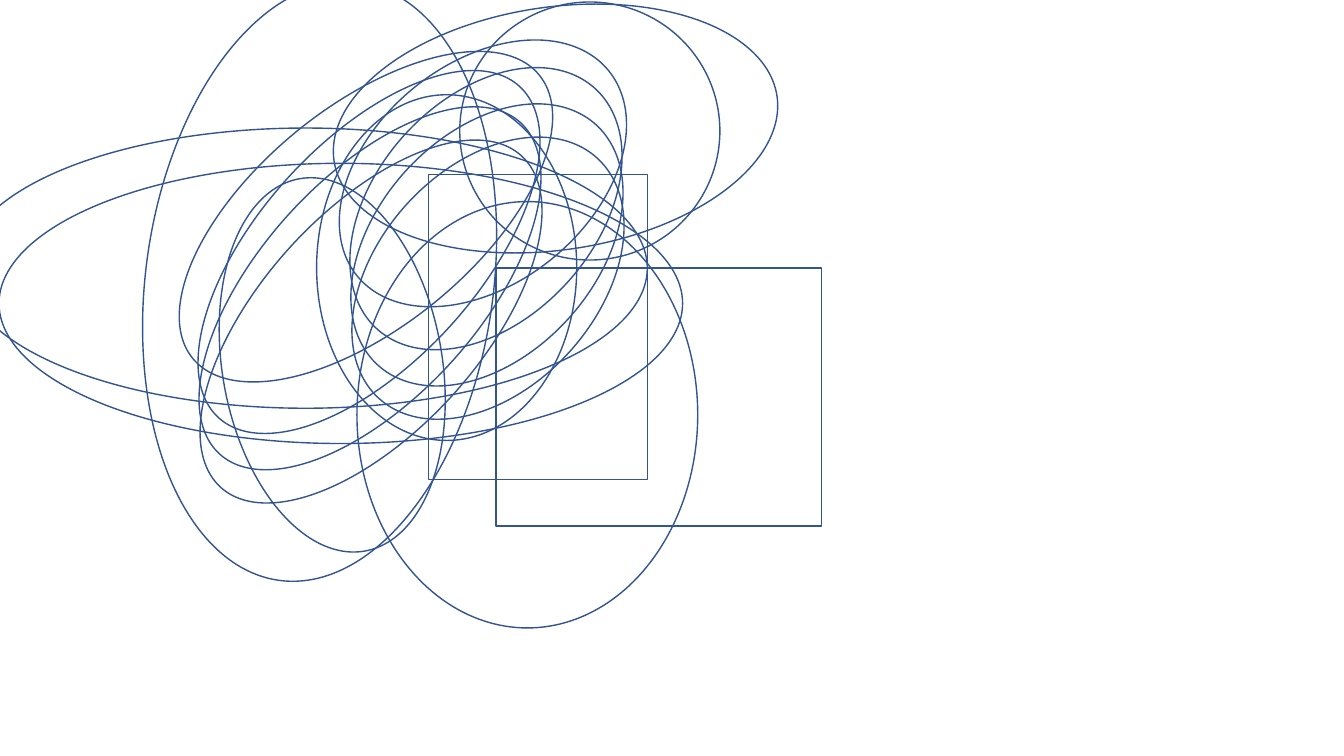
from pptx import Presentation
from pptx.dml.color import RGBColor
from pptx.enum.shapes import MSO_SHAPE as Preset
from pptx.util import Inches, Pt

OUTLINE_BLUE = RGBColor(0x32, 0x54, 0x91)
BLANK_LAYOUT = 6

# Each leaning pair: a long ellipse and a short one up and to its right
LONG_SIZE = (4.44, 2.18)
SHORT_SIZE = (3.22, 2.18)
PAIR_SHIFT = (1.77, -0.43)


class OutlineSlide:
    """Holds the line style and the current slide."""

    def __init__(self, deck):
        self.slide = deck.slides.add_slide(deck.slide_layouts[BLANK_LAYOUT])
        self.line_format = {"width": Pt(1)}
        self.line_color = OUTLINE_BLUE

    def outline(self, preset, left, top, width, height, rotation=0):
        shape = self.slide.shapes.add_shape(
            preset, Inches(left), Inches(top), Inches(width), Inches(height))
        shape.rotation = rotation
        shape.shadow.inherit = False
        shape.fill.background()
        shape.line.color.rgb = self.line_color
        for name, value in self.line_format.items():
            setattr(shape.line, name, value)

    def ellipse(self, left, top, width, height, rotation=0):
        self.outline(Preset.OVAL, left, top, width, height, rotation)

    def rectangle(self, left, top, width, height):
        self.outline(Preset.RECTANGLE, left, top, width, height)

    def leaning_pair(self, left, top, rotation):
        shift_x, shift_y = PAIR_SHIFT
        self.ellipse(left, top, *LONG_SIZE, rotation)
        self.ellipse(left + shift_x, top + shift_y, *SHORT_SIZE, rotation)


def main():
    deck = Presentation()
    deck.slide_width, deck.slide_height = Inches(13.33), Inches(7.5)
    drawing = OutlineSlide(deck)

    # Upright ellipses and the two rectangles
    drawing.ellipse(-0.36, 1.27, 6.78, 2.78)
    drawing.rectangle(4.25, 1.73, 2.17, 3.03)
    drawing.rectangle(4.92, 2.66, 3.23, 2.56)
    for upright in [
        (3.14, 0.94, 2.58, 3.43),
        (-0.01, 1.62, 6.78, 2.78),
        (4.56, 0.02, 2.58, 2.56),
        (3.54, 2, 3.38, 4.23),
    ]:
        drawing.ellipse(*upright)

    # Turned ellipses, with the leaning pairs stepping down the slide
    drawing.ellipse(3.29, 0.07, 4.44, 2.41, rotation=351.7)
    drawing.leaning_pair(1.41, 1.06, rotation=320.7)
    drawing.ellipse(0.18, 1.07, 5.98, 3.45, rotation=277.7)
    for left, top in [(1.44, 1.41), (1.45, 1.77), (1.46, 2.1)]:
        drawing.leaning_pair(left, top, rotation=312.2)
    drawing.ellipse(1.42, 2.53, 3.75, 2.18, rotation=260.1)

    deck.save("out.pptx")


if __name__ == "__main__":
    main()
